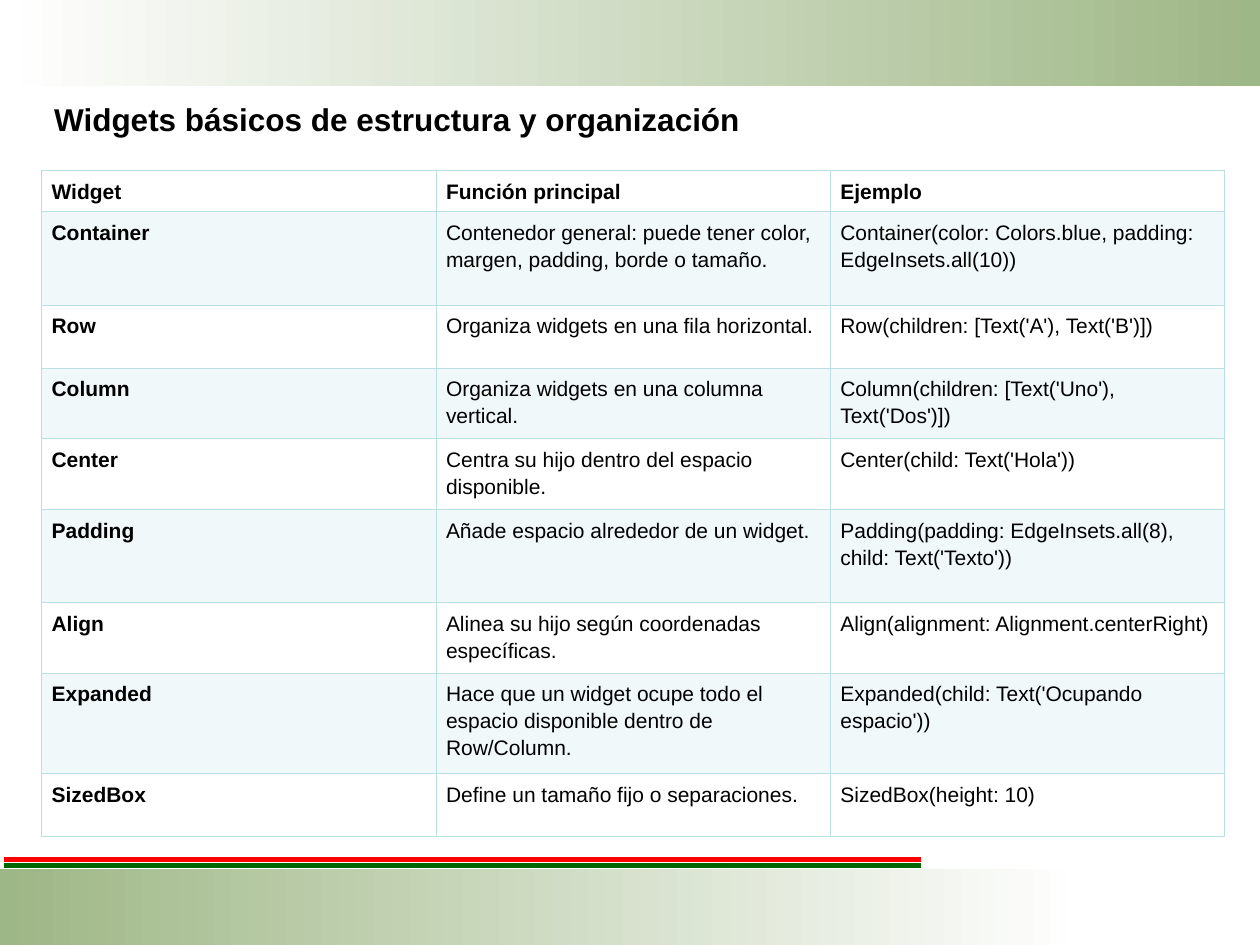
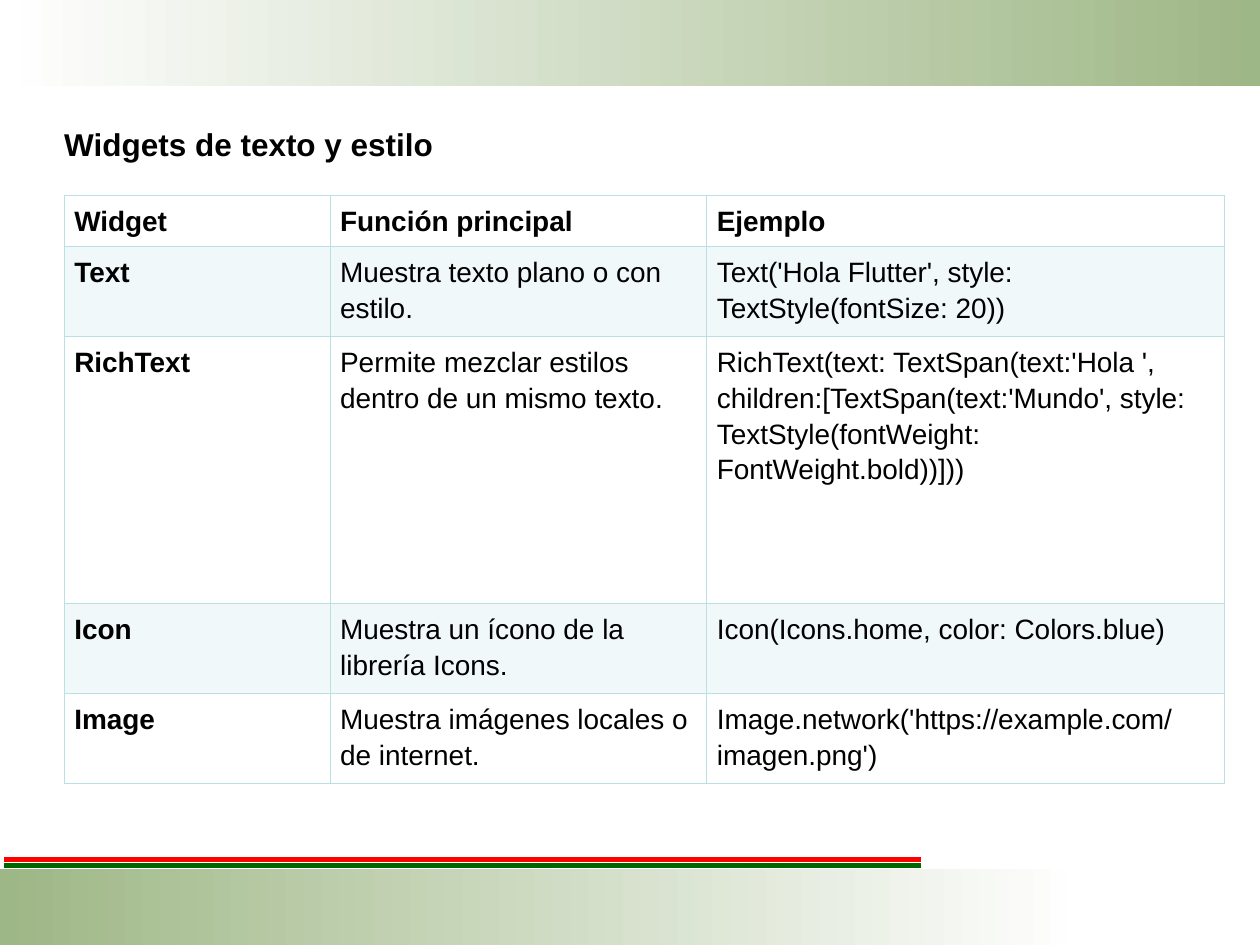
import pptx
import pptx.dml.color
import pptx.enum.shapes
import pptx.enum.text
import pptx.oxml
import pptx.oxml.ns
import pptx.util
from lxml import etree

Inches = pptx.util.Inches
Pt = pptx.util.Pt

COLORS = {
    "white": "FFFFFF",
    "text": "000000",
    "band": "9EB786",
    "red": "FF0000",
    "green": "006600",
    "table": "BBE0E3",
}
FONT = "Arial"
HEADER = ("Widget", "Función principal", "Ejemplo")
THIN, THICK = 0.45, 0.96

STRUCTURE_ROWS = [
    ("Container", "Contenedor general: puede tener color, margen, padding, borde o tamaño.",
     "Container(color: Colors.blue, padding: EdgeInsets.all(10))"),
    ("Row", "Organiza widgets en una fila horizontal.",
     "Row(children: [Text('A'), Text('B')])"),
    ("Column", "Organiza widgets en una columna vertical.",
     "Column(children: [Text('Uno'), Text('Dos')])"),
    ("Center", "Centra su hijo dentro del espacio disponible.",
     "Center(child: Text('Hola'))"),
    ("Padding", "Añade espacio alrededor de un widget.",
     "Padding(padding: EdgeInsets.all(8), child: Text('Texto'))"),
    ("Align", "Alinea su hijo según coordenadas específicas.",
     "Align(alignment: Alignment.centerRight)"),
    ("Expanded", "Hace que un widget ocupe todo el espacio disponible dentro de Row/Column.",
     "Expanded(child: Text('Ocupando espacio'))"),
    ("SizedBox", "Define un tamaño fijo o separaciones.",
     "SizedBox(height: 10)"),
]

TEXT_ROWS = [
    ("Text", "Muestra texto plano o con estilo.",
     "Text('Hola Flutter', style: TextStyle(fontSize: 20))"),
    ("RichText", "Permite mezclar estilos dentro de un mismo texto.",
     "RichText(text: TextSpan(text:'Hola ', children:[TextSpan(text:'Mundo', "
     "style: TextStyle(fontWeight: FontWeight.bold))]))"),
    ("Icon", "Muestra un ícono de la librería Icons.",
     "Icon(Icons.home, color: Colors.blue)"),
    ("Image", "Muestra imágenes locales o de internet.",
     "Image.network('https://example.com/imagen.png')"),
]


def rgb(name):
    return pptx.dml.color.RGBColor.from_string(COLORS[name])


class WidgetDeck:
    def __init__(self):
        self.presentation = pptx.Presentation()
        self.presentation.slide_width = Inches(10)
        self.presentation.slide_height = Inches(7.5)
        self.slide = None

    def add_slide(self):
        layout = self.presentation.slide_layouts.get_by_name("Title Only")
        self.slide = self.presentation.slides.add_slide(layout)
        self.band(0, 0, 10, 0.68, "white", "band")
        self.band(0, 6.9, 8.62, 0.6, "band", "white")
        self.rule(6.82, "red")
        self.rule(6.87, "green")

    def band(self, left, top, width, height, start, end):
        shape = self.slide.shapes.add_shape(
            pptx.enum.shapes.MSO_SHAPE.RECTANGLE,
            Inches(left), Inches(top), Inches(width), Inches(height))
        shape.shadow.inherit = False
        shape.line.fill.background()
        shape.fill.gradient()
        shape.fill.gradient_angle = 0
        for stop, color in zip(shape.fill.gradient_stops, (start, end)):
            stop.color.rgb = rgb(color)

    def rule(self, top, color):
        connector = self.slide.shapes.add_connector(
            pptx.enum.shapes.MSO_CONNECTOR.STRAIGHT,
            Inches(0.03), Inches(top), Inches(7.31), Inches(top))
        connector.line.color.rgb = rgb(color)
        connector.line.width = Pt(3)
        etree.SubElement(connector._element.spPr, pptx.oxml.ns.qn("a:effectLst"))

    def format_text(self, paragraph, size, bold):
        paragraph.alignment = pptx.enum.text.PP_ALIGN.LEFT
        for run in paragraph.runs:
            run.font.name = FONT
            run.font.size = Pt(size)
            run.font.bold = bold
            run.font.color.rgb = rgb("text")

    def title(self, text, left, top, width):
        shape = self.slide.shapes.title
        shape.left, shape.top = Inches(left), Inches(top)
        shape.width, shape.height = Inches(width), Inches(0.4)
        text_frame = shape.text_frame
        text_frame.text = text
        text_frame.word_wrap = True
        text_frame.auto_size = pptx.enum.text.MSO_AUTO_SIZE.SHAPE_TO_FIT_TEXT
        text_frame.vertical_anchor = pptx.enum.text.MSO_ANCHOR.TOP
        self.format_text(text_frame.paragraphs[0], 18, True)

    def borders(self, cell, row_index):
        properties = cell._tc.get_or_add_tcPr()
        widths = {
            "lnL": THIN,
            "lnR": THIN,
            "lnT": THICK if row_index == 1 else THIN,
            "lnB": THICK if row_index == 0 else THIN,
        }
        for side, width in widths.items():
            properties.append(pptx.oxml.parse_xml(
                f'<a:{side} {pptx.oxml.ns.nsdecls("a")} w="{Pt(width)}"><a:solidFill>'
                f'<a:srgbClr val="{COLORS["table"]}"/></a:solidFill></a:{side}>'))

    def cell_fill(self, cell, shaded):
        if not shaded:
            cell.fill.background()
            return
        cell.fill.solid()
        cell.fill.fore_color.rgb = rgb("table")
        color = cell._tc.tcPr.find("a:solidFill/a:srgbClr", pptx.oxml.ns._nsmap)
        etree.SubElement(color, pptx.oxml.ns.qn("a:alpha"), val="20000")

    def table(self, left, top, widths, heights, rows, size):
        rows = [HEADER] + rows
        table = self.slide.shapes.add_table(
            len(rows), len(widths), Inches(left), Inches(top),
            Inches(sum(widths)), Inches(sum(heights))).table
        table.horz_banding = False
        for column, width in zip(table.columns, widths):
            column.width = Inches(width)
        for row_index, (row, height, texts) in enumerate(zip(table.rows, heights, rows)):
            row.height = Inches(height)
            for column_index, (cell, text) in enumerate(zip(row.cells, texts)):
                cell.margin_left = cell.margin_right = Inches(0.08)
                cell.margin_top = cell.margin_bottom = Inches(0.05)
                cell.text_frame.text = text
                paragraph = cell.text_frame.paragraphs[0]
                paragraph.line_spacing = 1.15
                paragraph.space_after = Pt(8)
                self.format_text(paragraph, size, row_index == 0 or column_index == 0)
                self.borders(cell, row_index)
                self.cell_fill(cell, row_index % 2 == 1)


def main():
    deck = WidgetDeck()

    deck.add_slide()
    deck.title("Widgets básicos de estructura y organización", 0.33, 0.74, 7.06)
    deck.table(0.33, 1.35, [3.13] * 3,
               [0.26, 0.74, 0.5, 0.53, 0.53, 0.74, 0.53, 0.8, 0.5],
               STRUCTURE_ROWS, 12)

    deck.add_slide()
    deck.title("Widgets de texto y estilo", 0.41, 0.94, 5)
    deck.table(0.51, 1.55, [2.11, 2.99, 4.11],
               [0.34, 0.69, 2.12, 0.69, 0.69], TEXT_ROWS, 16)

    deck.presentation.save("out.pptx")


if __name__ == "__main__":
    main()
